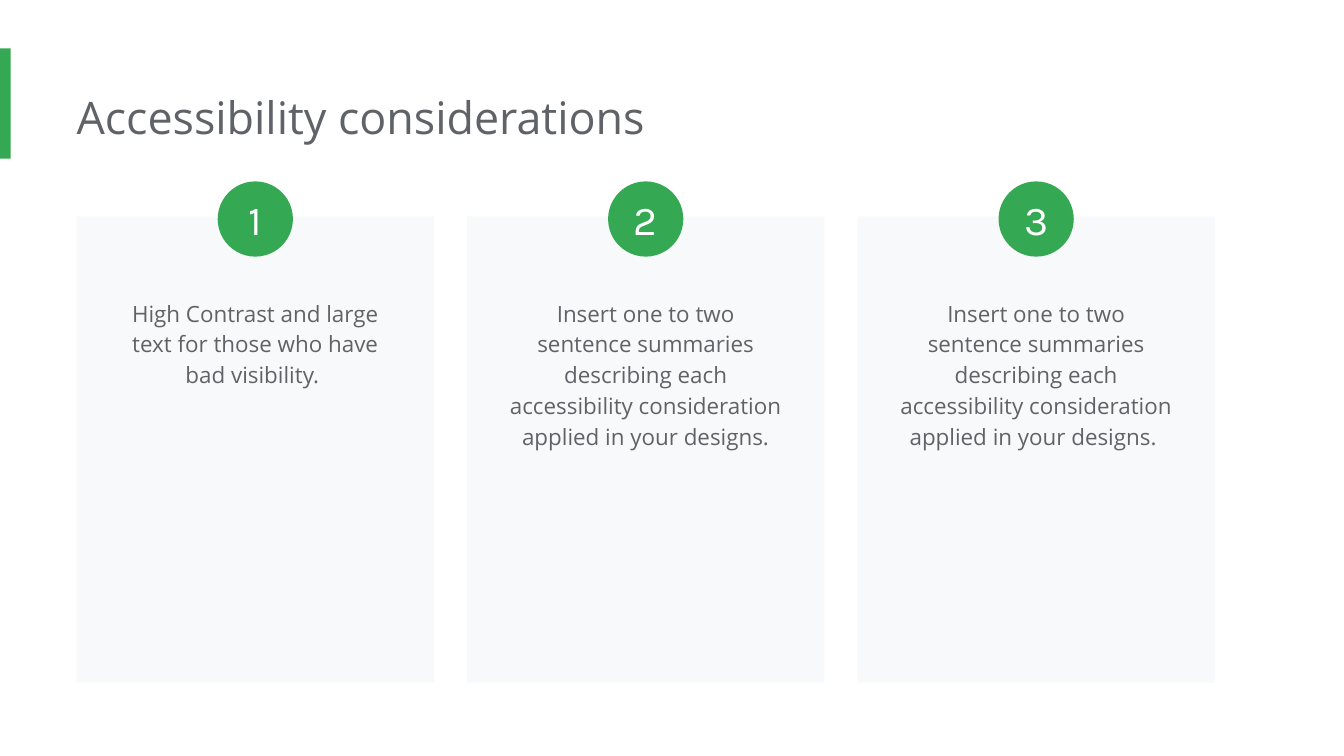
from pptx import Presentation
from pptx import util as u
from pptx.dml.color import RGBColor
from pptx.enum import shapes, text

# Content
TITLE = "Accessibility considerations"
PLACEHOLDER = (
    "Insert one to two sentence summaries describing each "
    "accessibility consideration applied in your designs."
)
CONSIDERATIONS = [
    ("High Contrast and large text for those who have bad visibility. ", 0.87),
    (PLACEHOLDER, 1.33),
    (PLACEHOLDER + " ", 1.33),
]  # summary, text height

THEME = {
    "accent": "34A853", "card": "F8F9FA", "text": "5F6368", "badge_text": "FFFFFF",
    "font": "Open Sans", "badge_font": "Karla",
    "title_size": 24, "body_size": 12, "badge_size": 22,
}

# Layout, in inches
SLIDE_WIDTH = 10
SLIDE_HEIGHT = SLIDE_WIDTH * 9 / 16
FIRST_LEFT, LAST_LEFT = 0.57, 6.38
CARD_TOP, CARD_WIDTH, CARD_HEIGHT = 1.61, 2.66, 3.47
SUMMARY_TOP, SUMMARY_WIDTH = 2.1, 2.24
BADGE_TOP, BADGE_SIZE = 1.35, 0.56
INSET = 0.1


def add_filled(slide, kind, box, color):
    shape = slide.shapes.add_shape(kind, *map(u.Inches, box))
    shape.shadow.inherit = False
    shape.fill.solid()
    shape.fill.fore_color.rgb = RGBColor.from_string(THEME[color])
    shape.line.fill.background()
    return shape


def set_text(shape, words, size, color="text", font="font", insets=(INSET,) * 4):
    frame = shape.text_frame
    frame.word_wrap = True
    frame.margin_left, frame.margin_top, frame.margin_right, frame.margin_bottom = map(
        u.Inches, insets)
    frame.text = words
    paragraph = frame.paragraphs[0]
    run_font = paragraph.runs[0].font
    run_font.name = THEME[font]
    run_font.size = u.Pt(THEME[size])
    run_font.color.rgb = RGBColor.from_string(THEME[color])
    return paragraph


def add_text(slide, box, words, size, **options):
    shape = slide.shapes.add_textbox(*map(u.Inches, box))
    paragraph = set_text(shape, words, size, **options)
    shape.text_frame.auto_size = text.MSO_AUTO_SIZE.SHAPE_TO_FIT_TEXT
    return paragraph


def add_card(slide, left, summary, height):
    add_filled(slide, shapes.MSO_SHAPE.RECTANGLE,
               (left, CARD_TOP, CARD_WIDTH, CARD_HEIGHT), "card")
    summary_left = left + (CARD_WIDTH - SUMMARY_WIDTH) / 2
    paragraph = add_text(slide, (summary_left, SUMMARY_TOP, SUMMARY_WIDTH, height),
                         summary, "body_size")
    paragraph.alignment = text.PP_ALIGN.CENTER
    paragraph.line_spacing = 1.15


def add_badge(slide, left, number):
    badge_left = left + (CARD_WIDTH - BADGE_SIZE) / 2
    badge = add_filled(slide, shapes.MSO_SHAPE.OVAL,
                       (badge_left, BADGE_TOP, BADGE_SIZE, BADGE_SIZE), "accent")
    paragraph = set_text(badge, str(number), "badge_size", "badge_text", "badge_font", (0,) * 4)
    paragraph.alignment = text.PP_ALIGN.CENTER
    badge.text_frame.vertical_anchor = text.MSO_ANCHOR.MIDDLE


def main():
    presentation = Presentation()
    presentation.slide_width = u.Inches(SLIDE_WIDTH)
    presentation.slide_height = u.Inches(SLIDE_HEIGHT)
    slide = presentation.slides.add_slide(presentation.slide_layouts[6])

    # Accent bar and title
    add_filled(slide, shapes.MSO_SHAPE.RECTANGLE, (0, 0.36, 0.08, 0.82), "accent")
    add_text(slide, (FIRST_LEFT, 0.57, 7.66, 0.61), TITLE, "title_size",
             insets=(0, INSET, INSET, INSET))

    # Evenly spaced cards, then the numbered badges on top
    pitch = (LAST_LEFT - FIRST_LEFT) / (len(CONSIDERATIONS) - 1)
    lefts = [FIRST_LEFT + index * pitch for index in range(len(CONSIDERATIONS))]
    for left, (summary, height) in zip(lefts, CONSIDERATIONS):
        add_card(slide, left, summary, height)
    for number, left in enumerate(lefts, start=1):
        add_badge(slide, left, number)

    presentation.save("out.pptx")


if __name__ == "__main__":
    main()
